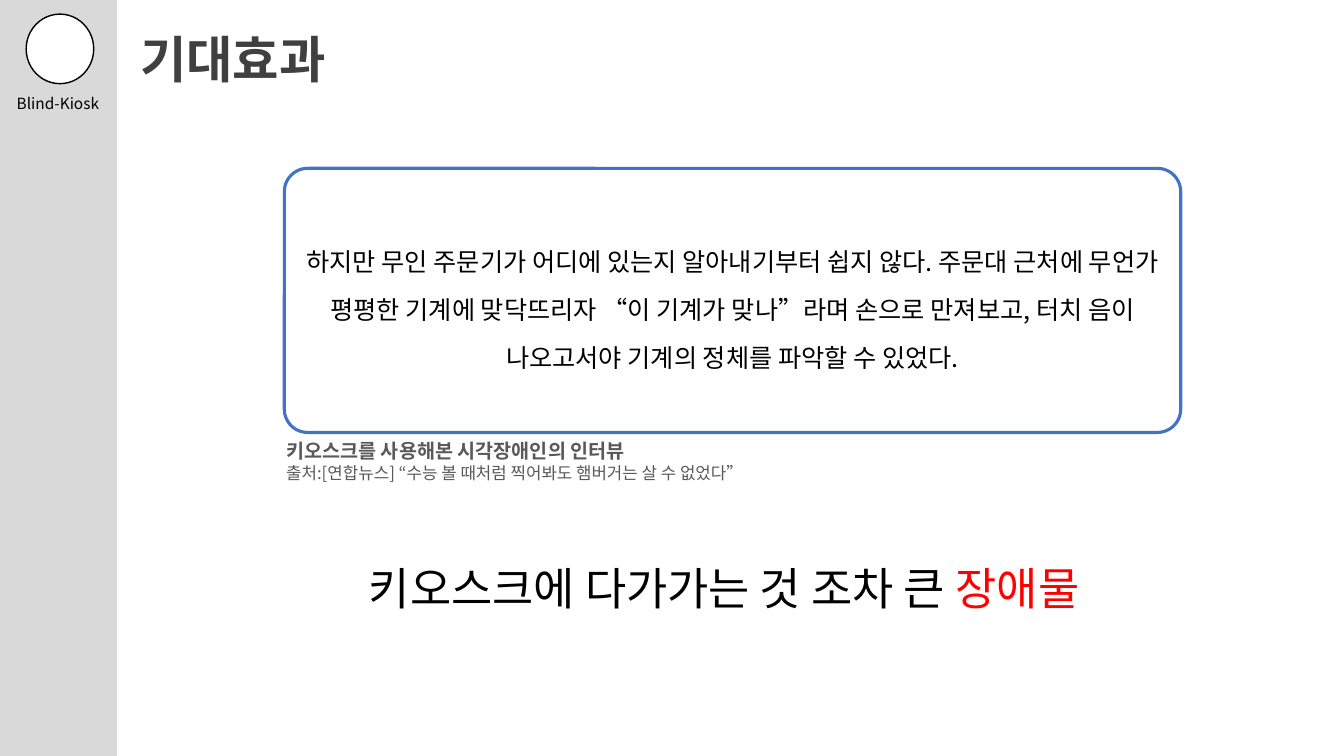
from lxml import etree
from pptx import Presentation
from pptx.dml.color import RGBColor
from pptx.enum.shapes import MSO_SHAPE as SHAPE
from pptx.enum.text import MSO_ANCHOR as ANCHOR, PP_ALIGN as ALIGN
from pptx.oxml.ns import qn
from pptx.util import Inches, Pt

FONT = "Noto Sans CJK KR"
COLORS = {
    "black": "000000", "white": "FFFFFF", "red": "FF0000", "blue": "4472C4",
    "sidebar": "D9D9D9", "title": "404040", "source": "595959",
}


def add_run(paragraph, text, size, color, bold=False):
    run = paragraph.add_run()
    run.text = text
    font_format = {"name": FONT, "size": Pt(size), "bold": bold}
    for name, value in font_format.items():
        setattr(run.font, name, value)
    run.font.color.rgb = RGBColor.from_string(COLORS[color])
    # Korean glyphs use the East Asian typeface
    etree.SubElement(run.font._element, qn("a:ea"), typeface=FONT)


def add_panel(kind, box, fill, line=None, width=0):
    shape = slide.shapes.add_shape(kind, *map(Inches, box))
    shape.shadow.inherit = False
    shape.fill.solid()
    shape.fill.fore_color.rgb = RGBColor.from_string(COLORS[fill])
    if line:
        shape.line.color.rgb = RGBColor.from_string(COLORS[line])
        shape.line.width = Pt(width)
    else:
        shape.line.fill.background()
    return shape


presentation = Presentation()
presentation.slide_width = Inches(13.33)
presentation.slide_height = Inches(7.5)
slide = presentation.slides.add_slide(presentation.slide_layouts[5])

# Sidebar with round badge
add_panel(SHAPE.RECTANGLE, (0, 0, 1.16, 7.5), "sidebar")
add_panel(SHAPE.OVAL, (0.26, 0.14, 0.67, 0.69), "white", "black", 1)

# Title
title = slide.shapes.title
title_place = {"left": 1.29, "top": -0.07, "width": 10.64, "height": 0.9}
for name, value in title_place.items():
    setattr(title, name, Inches(value))
title.text_frame.word_wrap = True
title.text_frame.vertical_anchor = ANCHOR.TOP
paragraph = title.text_frame.paragraphs[0]
paragraph.alignment = ALIGN.LEFT
paragraph.line_spacing = 1.5
add_run(paragraph, "기대효과", 36, "title", True)

# Interview quote
quote = add_panel(SHAPE.ROUNDED_RECTANGLE, (2.82, 1.67, 8.89, 2.62), "white", "blue", 2.25)
quote.adjustments[0] = 0.088
quote.text_frame.word_wrap = True
quote.text_frame.vertical_anchor = ANCHOR.MIDDLE
paragraph = quote.text_frame.paragraphs[0]
paragraph.alignment = ALIGN.CENTER
paragraph.line_spacing = 1.6
add_run(
    paragraph,
    "하지만 무인 주문기가 어디에 있는지 알아내기부터 쉽지 않다. 주문대 근처에 "
    "무언가 평평한 기계에 맞닥뜨리자 “이 기계가 맞나”라며 손으로 만져보고, "
    "터치 음이 나오고서야 기계의 정체를 파악할 수 있었다.",
    18, "black",
)

# Text boxes: place, alignment, left indent, paragraphs of runs
text_boxes = [
    ((-0.1, 0.88, 1.35, 0.29), ALIGN.CENTER, 0, [[("Blind-Kiosk", 11, "black")]]),
    ((1.74, 4.31, 9.97, 0.54), ALIGN.LEFT, 1, [
        [("키오스크를 사용해본 시각장애인의 인터뷰", 14, "source", True)],
        [("출처:[연합뉴스] “수능 볼 때처럼 찍어봐도 햄버거는 살 수 없었다”", 12, "source")],
    ]),
    ((3.56, 5.51, 7.42, 0.64), ALIGN.LEFT, 0, [
        [("키오스크에 다가가는 것 조차 큰 ", 32, "black"), ("장애물", 32, "red")],
    ]),
]
for box, alignment, indent, paragraphs in text_boxes:
    frame = slide.shapes.add_textbox(*map(Inches, box)).text_frame
    frame.word_wrap = True
    for index, runs in enumerate(paragraphs):
        paragraph = frame.add_paragraph() if index else frame.paragraphs[0]
        paragraph.alignment = alignment
        if indent:
            paragraph.level = 2
            paragraph._p.get_or_add_pPr().set("marL", str(Inches(indent)))
        for run in runs:
            add_run(paragraph, *run)

presentation.save("out.pptx")
